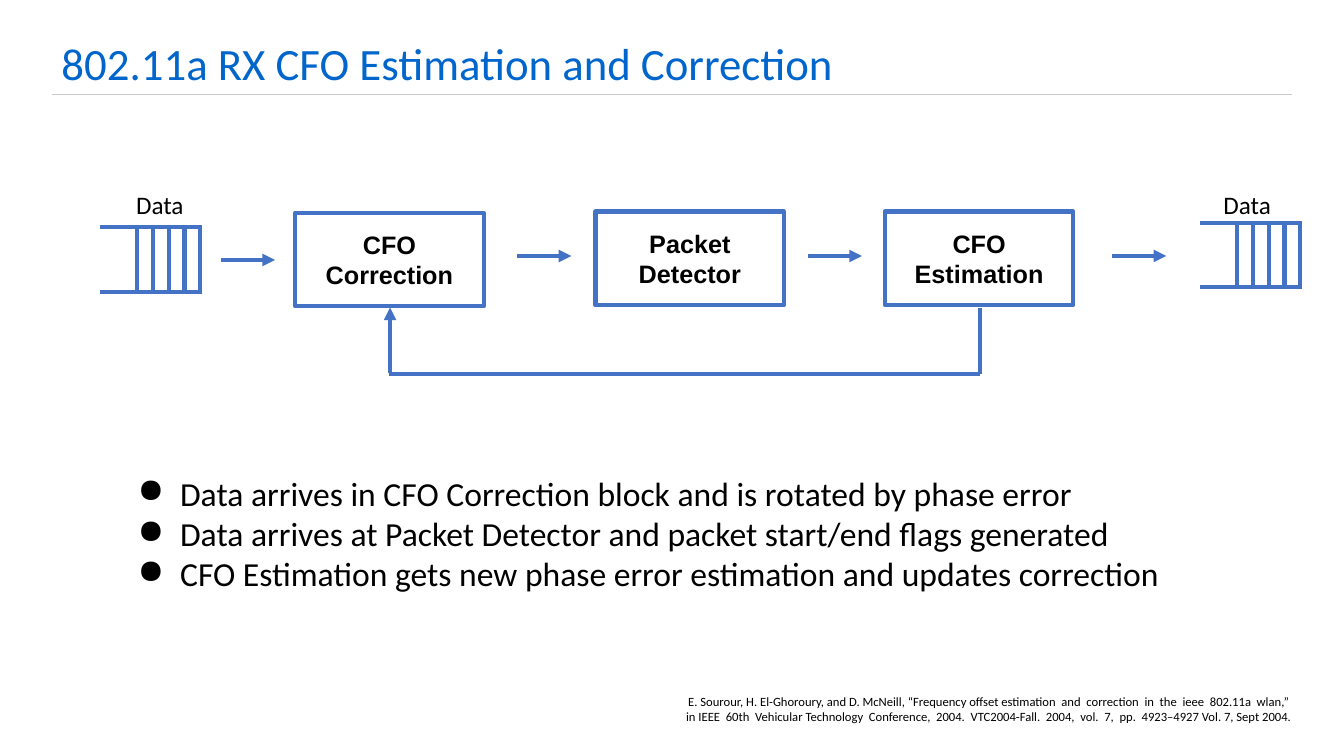
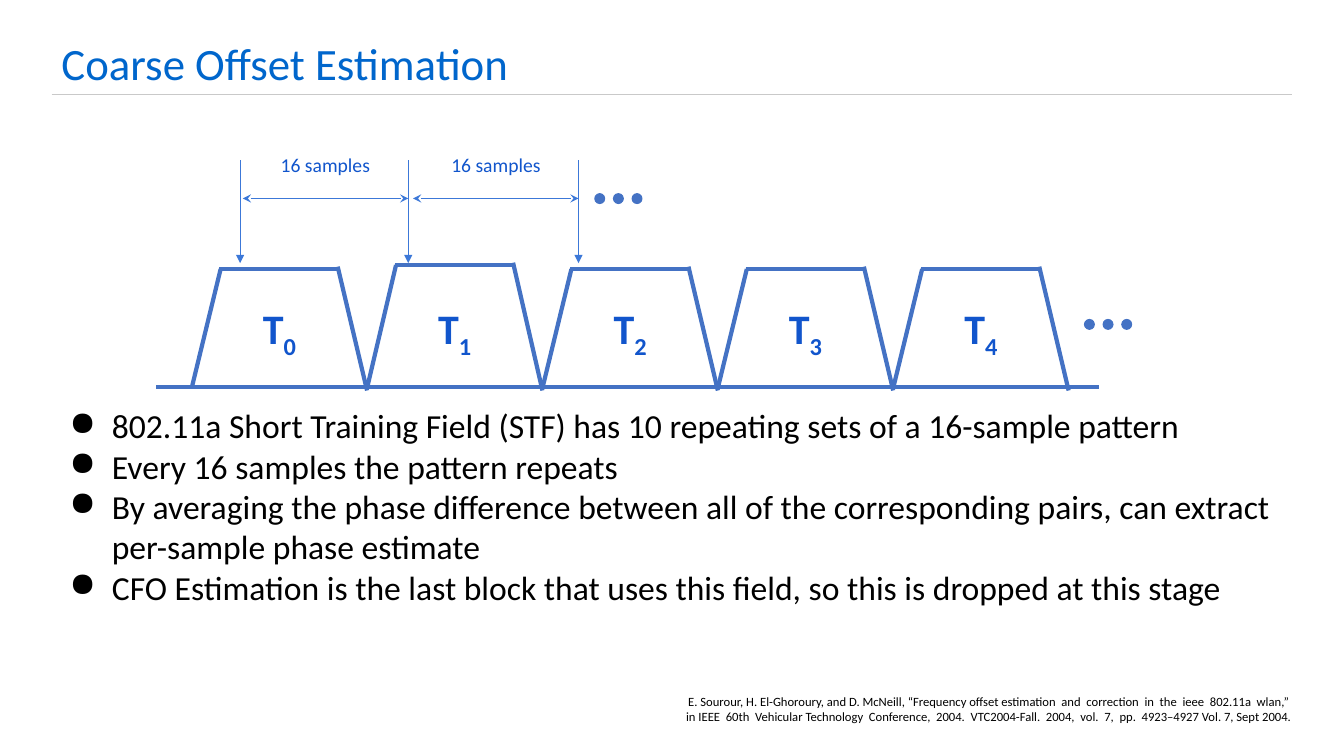
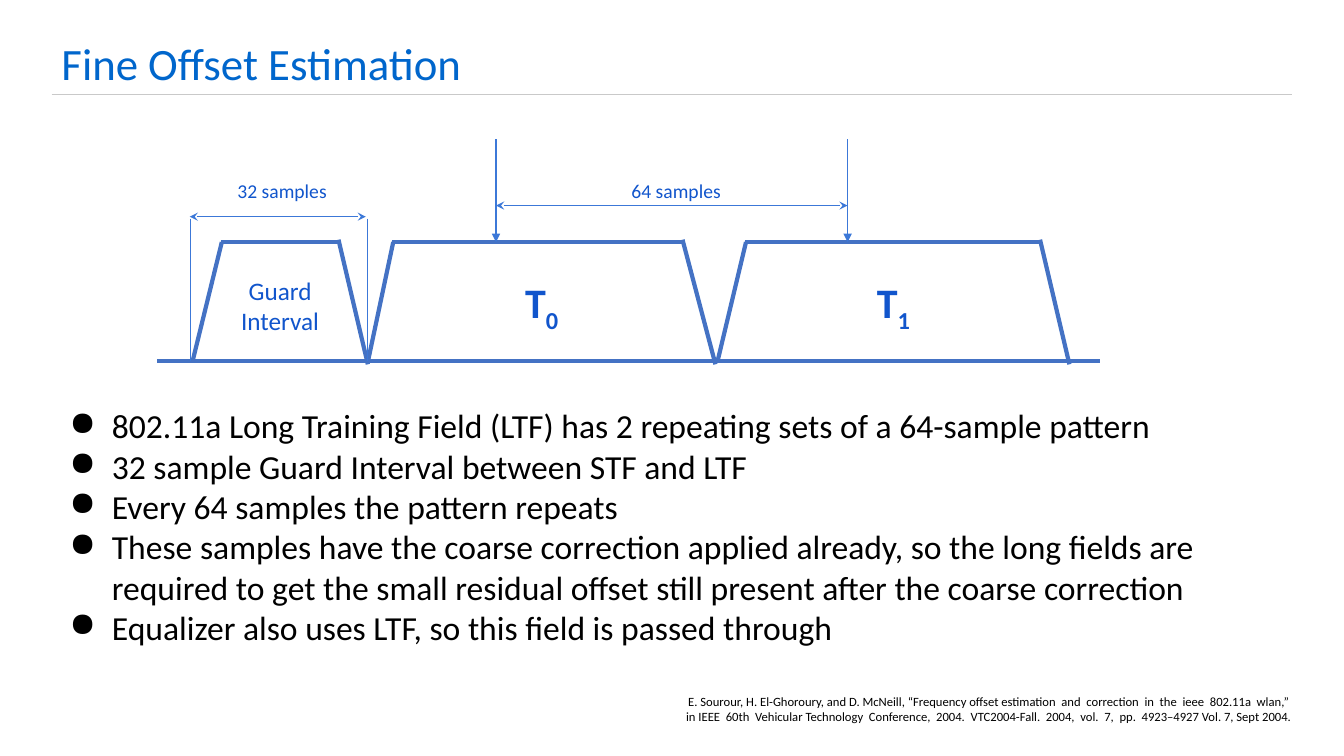
from pptx import Presentation
from pptx.dml.color import RGBColor
from pptx.enum.shapes import MSO_CONNECTOR, MSO_SHAPE
from pptx.enum.text import MSO_ANCHOR, PP_ALIGN
from pptx.oxml.ns import qn
from pptx.util import Cm, Pt
from lxml import etree

STRAIGHT = MSO_CONNECTOR.STRAIGHT
RECTANGLE, OVAL = MSO_SHAPE.RECTANGLE, MSO_SHAPE.OVAL
TOP, MIDDLE = MSO_ANCHOR.TOP, MSO_ANCHOR.MIDDLE
LEFT, CENTER = PP_ALIGN.LEFT, PP_ALIGN.CENTER

COLORS = {
    "title": "0066CC",
    "rule": "C9C9C9",
    "outline": "4472C4",
    "measure": "3C78D8",
    "label": "1155CC",
    "text": "000000",
}
LINES = {"outline": 3, "measure": 0.75, "rule": 0.75}


def text_style(size, color="text", name="Calibri", bold=False, align=CENTER,
               anchor=MIDDLE, inset=0.25, bullet=False):
    return {
        "font": {"name": name, "size": Pt(size), "bold": bold},
        "frame": {
            "word_wrap": True, "vertical_anchor": anchor,
            "margin_left": Cm(0.25), "margin_right": Cm(0.25),
            "margin_top": Cm(inset), "margin_bottom": Cm(inset),
        },
        "color": color, "align": align, "bullet": bullet,
    }


STYLES = {
    "title": text_style(32, "title", align=LEFT, anchor=TOP, inset=0.13),
    "body": text_style(24, align=LEFT, anchor=TOP, bullet=True),
    "citation": text_style(9),
    "block": text_style(18, name="Arial", bold=True, inset=0.13),
    "queue": text_style(18, align=LEFT, anchor=TOP, inset=0.13),
    "measure": text_style(14, "label"),
    "symbol": text_style(30, "label", bold=True),
    "guard": text_style(18, "label"),
}

CITATION = [
    "E. Sourour, H. El-Ghoroury, and D. McNeill, “Frequency offset estimation  and  correction  in  the  ieee  802.11a  wlan,”",
    "in IEEE  60th  Vehicular Technology  Conference,  2004.  VTC2004-Fall.  2004,  vol.  7,  pp.  4923–4927 Vol. 7, Sept 2004.",
]


def draw_line(page, start, end, kind="outline", head=None, tail=None):
    line = page.shapes.add_connector(STRAIGHT, *map(Cm, start + end))
    line.line.color.rgb = RGBColor.from_string(COLORS[kind])
    line.line.width = Pt(LINES[kind])
    for tag, arrow in (("a:headEnd", head), ("a:tailEnd", tail)):
        if arrow:
            etree.SubElement(line.line._get_or_add_ln(), qn(tag), type=arrow)
    etree.SubElement(line._element.spPr, qn("a:effectLst"))


def write_text(box, lines, style_name):
    style = STYLES[style_name]
    frame = box.text_frame
    for key, value in style["frame"].items():
        setattr(frame, key, value)
    for number, line in enumerate(lines):
        para = frame.add_paragraph() if number else frame.paragraphs[0]
        para.alignment = style["align"]
        if style["bullet"]:
            properties = para._p.get_or_add_pPr()
            properties.set("marL", str(Cm(1.27)))
            properties.set("indent", str(Cm(-1.07)))
            etree.SubElement(properties, qn("a:buChar"), char="●")
        base, _, subscript = line.partition("_")
        for text in filter(None, (base, subscript)):
            span = para.add_run()
            span.text = text
            for key, value in style["font"].items():
                setattr(span.font, key, value)
            span.font.color.rgb = RGBColor.from_string(COLORS[style["color"]])
        if subscript:
            span._r.get_or_add_rPr().set("baseline", "-25000")


CONTENT = [
    ("802.11a RX CFO Estimation and Correction", (3.02, 11.66, 28.04, 4.06), [
        "Data arrives in CFO Correction block and is rotated by phase error",
        "Data arrives at Packet Detector and packet start/end flags generated",
        "CFO Estimation gets new phase error estimation and updates correction",
    ]),
    ("Coarse Offset Estimation", (1.3, 9.96, 31.27, 7.9), [
        "802.11a Short Training Field (STF) has 10 repeating sets of a 16-sample pattern",
        "Every 16 samples the pattern repeats",
        "By averaging the phase difference between all of the corresponding pairs, can extract per-sample phase estimate",
        "CFO Estimation is the last block that uses this field, so this is dropped at this stage",
    ]),
    ("Fine Offset Estimation", (1.3, 9.96, 31.27, 7.9), [
        "802.11a Long Training Field (LTF) has 2 repeating sets of a 64-sample pattern",
        "32 sample Guard Interval between STF and LTF",
        "Every 64 samples the pattern repeats",
        "These samples have the coarse correction applied already, so the long fields are required to get the small residual offset still present after the coarse correction",
        "Equalizer also uses LTF, so this field is passed through",
    ]),
]

deck = Presentation()
deck.slide_width, deck.slide_height = Cm(33.87), Cm(19.05)

pages = []
for title, body_area, bullets in CONTENT:
    page = deck.slides.add_slide(deck.slide_layouts[6])
    pages.append(page)
    draw_line(page, (1.3, 2.39), (32.56, 2.39), "rule")
    for area, lines, style_name in (
        ((1.3, 0.76, 24.49, 1.63), [title], "title"),
        (body_area, bullets, "body"),
        ((15.95, 16.69, 17.92, 2.36), CITATION, "citation"),
    ):
        write_text(page.shapes.add_textbox(*map(Cm, area)), lines, style_name)

flow, coarse, fine = pages

for left, top, label_left in ((2.51, 5.72, 3.18), (30.23, 5.61, 30.58)):
    bottom = top + 1.63
    for y in (top, bottom):
        draw_line(flow, (left, y), (left + 2.58, y))
    for slot in range(5):
        x = left + 0.94 + 0.4 * slot
        draw_line(flow, (x, top), (x, bottom))
    label = flow.shapes.add_textbox(Cm(label_left), Cm(4.65), Cm(1.88), Cm(1.02))
    write_text(label, ["Data"], "queue")

for left, top, name in (
    (7.44, 5.36, "CFO Correction"),
    (15.01, 5.33, "Packet Detector"),
    (22.3, 5.33, "CFO Estimation"),
):
    block = flow.shapes.add_shape(RECTANGLE, Cm(left), Cm(top), Cm(4.75), Cm(2.36))
    block.shadow.inherit = False
    block.fill.background()
    block.line.color.rgb = RGBColor.from_string(COLORS["outline"])
    block.line.width = Pt(LINES["outline"])
    write_text(block, [name], "block")

for left, y in ((5.56, 6.55), (13.03, 6.45), (20.35, 6.45), (28.02, 6.45)):
    draw_line(flow, (left, y), (left + 1.37, y), tail="triangle")

draw_line(flow, (24.69, 9.42), (24.69, 7.75))
draw_line(flow, (9.8, 9.42), (24.69, 9.42))
draw_line(flow, (9.83, 9.4), (9.83, 7.75), tail="triangle")

short_fields = []
for number in range(5):
    left = 4.83 + 4.42 * number
    short_fields.append((left, left + 0.73, left + 3.68, left + 4.42,
                         6.68 if number == 1 else 6.78, f"T_{number}", "symbol"))
long_fields = [
    (4.85, 5.59, 8.53, 9.27, 6.1, "Guard Interval", "guard"),
    (9.27, 9.91, 17.2, 18.03, 6.1, "T_0", "symbol"),
    (18.08, 18.8, 26.21, 26.95, 6.1, "T_1", "symbol"),
]
TIMELINES = [
    (coarse, 3.94, 9.75, short_fields, (6.05, 10.29, 14.58), 4.04, 6.63, [
        (6.12, 10.29, 5.0, 5.94, 3.56, "16 samples"),
        (10.41, 14.58, 5.0, 10.24, 3.56, "16 samples"),
    ]),
    (fine, 3.96, 9.09, long_fields, (12.5, 21.36), 3.51, 6.1, [
        (4.78, 9.22, 5.46, 4.85, 4.22, "32 samples"),
        (12.5, 21.36, 5.18, 14.78, 4.22, "64 samples"),
    ]),
]

for page, axis_left, axis_y, fields, markers, marker_top, marker_tip, measures in TIMELINES:
    draw_line(page, (axis_left, axis_y), (axis_left + 23.75, axis_y))
    for left, shoulder_left, shoulder_right, right, top, name, style_name in fields:
        draw_line(page, (left, axis_y + 0.03), (shoulder_left, top))
        draw_line(page, (right, axis_y + 0.09), (shoulder_right, top - 0.06))
        draw_line(page, (shoulder_left - 0.03, top), (shoulder_right + 0.03, top))
        label_left = (left + right) / 2 - 1.32
        label = page.shapes.add_textbox(
            Cm(label_left), Cm(axis_y - 1.99), Cm(2.64), Cm(1.19))
        write_text(label, [name], style_name)
    for x in markers:
        draw_line(page, (x, marker_top), (x, marker_tip), "measure", tail="triangle")
    for left, right, y, label_left, label_top, name in measures:
        draw_line(page, (left, y), (right, y), "measure", "stealth", "stealth")
        label = page.shapes.add_textbox(
            Cm(label_left), Cm(label_top), Cm(4.52), Cm(1.19))
        write_text(label, [name], "measure")

for x in (4.8, 9.27):
    draw_line(fine, (x, 5.51), (x, 9.09), "measure")

for left, top in ((14.99, 4.88), (27.33, 8.05)):
    for number in range(3):
        dot = coarse.shapes.add_shape(
            OVAL, Cm(left + 0.47 * number), Cm(top), Cm(0.25), Cm(0.25))
        dot.shadow.inherit = False
        dot.fill.solid()
        dot.fill.fore_color.rgb = RGBColor.from_string(COLORS["outline"])
        dot.line.color.rgb = RGBColor.from_string(COLORS["outline"])
        dot.line.width = Pt(0.75)

deck.save("out.pptx")
